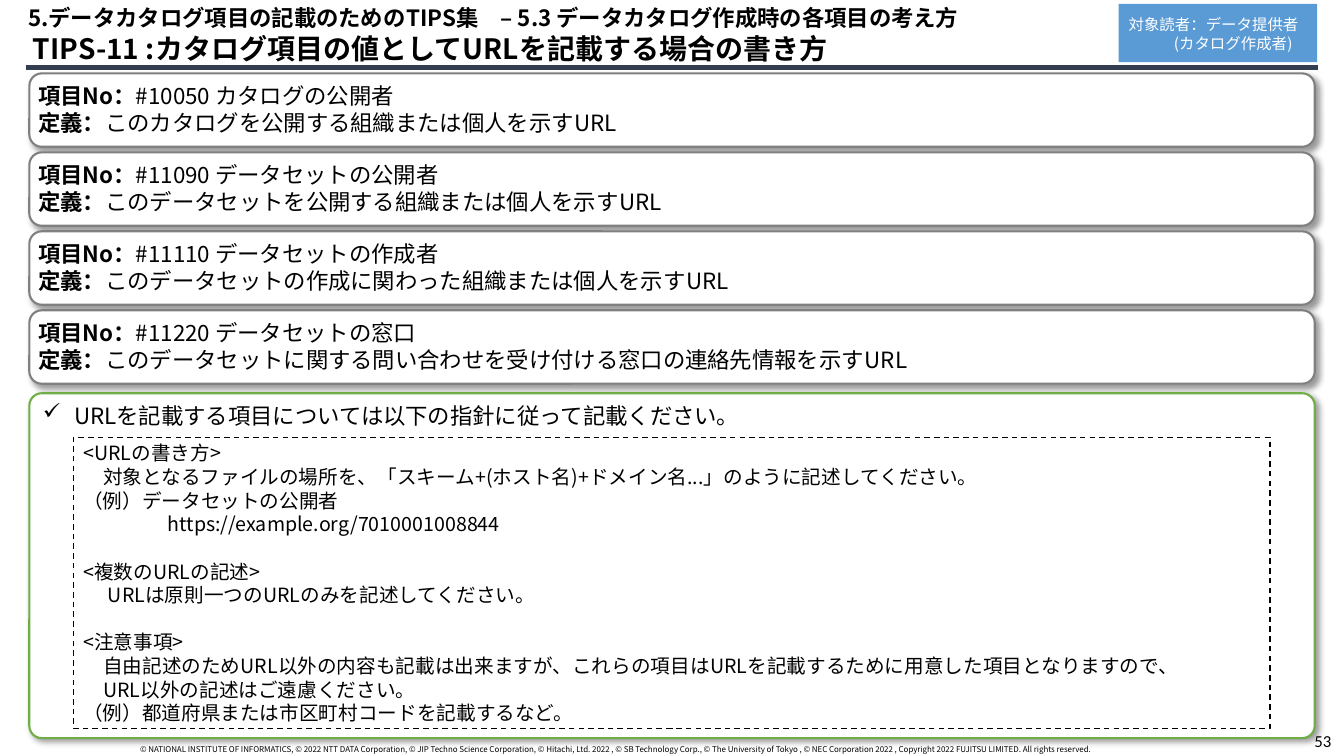
from dataclasses import dataclass
from pptx import Presentation
from pptx import util as u
from pptx.dml.color import RGBColor
from pptx.enum import dml, shapes, text
from pptx.oxml import parse_xml
from pptx.oxml.ns import nsdecls, qn

Cm, Pt = u.Cm, u.Pt


@dataclass(frozen=True)
class Theme:
    font: str = "Noto Sans CJK JP"
    number: str = "Calibri"
    black: str = "000000"
    white: str = "FFFFFF"
    gray: str = "808080"
    green: str = "70AD47"
    blue: str = "5B9BD5"
    navy: str = "333F50"
    title: float = 20
    body: float = 16
    note: float = 14
    small: float = 12
    badge: float = 11
    legal: float = 5.7


look = Theme()
deck = Presentation()
deck.slide_width, deck.slide_height = u.Inches(13.333), u.Inches(7.5)
slide = deck.slides.add_slide(deck.slide_layouts[6])
TOP, MIDDLE, BOTTOM = text.MSO_ANCHOR.TOP, text.MSO_ANCHOR.MIDDLE, text.MSO_ANCHOR.BOTTOM


def write(shape, paras, size, color=look.black, font=look.font, bold=False, pitch=None,
          inset=(0.25, 0.13, 0.25, 0.13), anchor=TOP, wrap=True, mark=None):
    """Fill a shape with (left indent, space before, runs); a run is (text, bold)."""
    frame = shape.text_frame
    frame.word_wrap, frame.vertical_anchor = wrap, anchor
    (frame.margin_left, frame.margin_top,
     frame.margin_right, frame.margin_bottom) = [Cm(side) for side in inset]
    for i, (indent, before, runs) in enumerate(paras):
        para = frame.paragraphs[0] if i == 0 else frame.add_paragraph()
        para.alignment = text.PP_ALIGN.LEFT
        para.line_spacing = Pt(pitch or size * 1.2)
        if before:
            para.space_before = Pt(before)
        props = para._p.get_or_add_pPr()
        if indent:
            props.set("marL", str(Cm(indent)))
        if mark:
            props.set("indent", str(-Cm(indent)))
            props.append(parse_xml(f'<a:buChar {nsdecls("a")} char="{mark}"/>'))
        for words, heavy in [(runs, bold)] if isinstance(runs, str) else runs:
            for n, line in enumerate(words.split("\n")):
                if n:
                    para.add_line_break()
                run = para.add_run()
                run.text = line
                run.font.size, run.font.name, run.font.bold = Pt(size), font, heavy
                run.font.color.rgb = RGBColor.from_string(color)
                run._r.get_or_add_rPr().append(
                    parse_xml(f'<a:ea {nsdecls("a")} typeface="{font}"/>'))


def panel(place, fill, edge=None, width=1.5, curve=None):
    """Add a box; a curve rounds its corners and gives it a soft shadow."""
    kinds = shapes.MSO_SHAPE
    kind = kinds.ROUNDED_RECTANGLE if curve else kinds.RECTANGLE
    shape = slide.shapes.add_shape(kind, *map(Cm, place))
    shape.shadow.inherit = False
    shape.fill.solid()
    shape.fill.fore_color.rgb = RGBColor.from_string(fill)
    if edge:
        shape.line.color.rgb = RGBColor.from_string(edge)
        shape.line.width = Pt(width)
    else:
        shape.line.fill.background()
    if curve:
        shape.adjustments[0] = curve
        shape._element.spPr.find(qn("a:effectLst")).append(parse_xml(
            f'<a:outerShdw {nsdecls("a")} blurRad="{Pt(4)}" dist="{Pt(3)}" dir="2700000" '
            'algn="tl" rotWithShape="0"><a:srgbClr val="000000">'
            '<a:alpha val="40000"/></a:srgbClr></a:outerShdw>'))
    return shape


# Page number, copyright line and rule
page = slide.shapes.add_textbox(Cm(32.87), Cm(18.29), Cm(0.99), Cm(0.76))
write(page, [(0, 0, "53")], look.small, font=look.number, anchor=MIDDLE, wrap=False)
legal = slide.shapes.add_textbox(Cm(3.28), Cm(18.77), Cm(27.3), Cm(0.28))
write(legal, [(0, 0, "© NATIONAL INSTITUTE OF INFORMATICS, © 2022 NTT DATA Corporation, "
               "© JIP Techno Science Corporation, © Hitachi, Ltd. 2022 , © SB Technology Corp., "
               "© The University of Tokyo , © NEC Corporation 2022 , "
               "Copyright 2022 FUJITSU LIMITED. All rights reserved.")],
      look.legal, pitch=1.6, inset=(0.25, 0, 0.25, 0.05), anchor=BOTTOM)
rule = slide.shapes.add_connector(shapes.MSO_CONNECTOR.STRAIGHT,
                                  Cm(0.66), Cm(1.7), Cm(33.2), Cm(1.7))
rule.line.color.rgb = RGBColor.from_string(look.navy)
rule.line.width = Pt(3)
rule._element.spPr.append(parse_xml(f'<a:effectLst {nsdecls("a")}/>'))

# Item cards
items = [
    ("#10050 カタログの公開者", "このカタログを公開する組織または個人を示すURL"),
    ("#11090 データセットの公開者", "このデータセットを公開する組織または個人を示すURL"),
    ("#11110 データセットの作成者", "このデータセットの作成に関わった組織または個人を示すURL"),
    ("#11220 データセットの窓口",
     "このデータセットに関する問い合わせを受け付ける窓口の連絡先情報を示すURL"),
]
for i, (name, sense) in enumerate(items):
    card = panel((0.74, 1.85 + 1.99 * i, 32.39, 1.85), look.white, look.gray, curve=0.17)
    write(card, [(0, 0, [("項目No：", True), (name, False)]),
                 (0, 0, [("定義：", True), (sense, False)])],
          look.body, inset=(0.13,) * 4)

# Headings
title = slide.shapes.add_textbox(Cm(0.41), Cm(0.66), Cm(33.25), Cm(1.12))
write(title, [(0, 0, "TIPS-11 :カタログ項目の値としてURLを記載する場合の書き方")],
      look.title, bold=True, inset=(0.42, 0.13, 0.25, 0.13))
head = slide.shapes.add_textbox(Cm(0.41), Cm(0.03), Cm(32.69), Cm(1.37))
write(head, [(0, 0, "5.データカタログ項目の記載のためのTIPS集　– 5.3 データカタログ作成時の各項目の考え方")],
      look.body, bold=True, pitch=17.3, inset=(0.3, 0.15, 0.3, 0.15))

# Guideline panel
guide = panel((0.74, 9.91, 32.39, 8.69), look.white, look.green, curve=0.036)
write(guide, [(0.79, 0, "URLを記載する項目については以下の指針に従って記載ください。")],
      look.body, mark="✓")

# Reader badge
badge = panel((28.19, 0.1, 5, 1.47), look.blue)
write(badge, [(0, 0, "対象読者：データ提供者"), (1.14, 0, "(カタログ作成者)")],
      look.badge, look.white, pitch=13.6, anchor=MIDDLE)

# Writing rules
rules = panel((1.85, 11.02, 30.15, 7.34), look.white, look.black, width=1)
rules.line.dash_style = dml.MSO_LINE.DASH
gap = 16.9
write(rules, [
    (0, 0, "<URLの書き方>"),
    (0.5, 0, "対象となるファイルの場所を、「スキーム+(ホスト名)+ドメイン名...」のように記述してください。"),
    (0, 0, "（例）データセットの公開者"),
    (2.13, 0, "https://example.org/7010001008844"),
    (0, gap, "<複数のURLの記述>"),
    (0.62, 0, "URLは原則一つのURLのみを記述してください。"),
    (0, gap, "<注意事項>"),
    (0.5, 0, "自由記述のためURL以外の内容も記載は出来ますが、これらの項目は"
             "URLを記載するために用意した項目となりますので、\nURL以外の記述はご遠慮ください。"),
    (0, 0, "（例）都道府県または市区町村コードを記載するなど。"),
], look.note, pitch=gap, anchor=MIDDLE)

deck.save("out.pptx")
